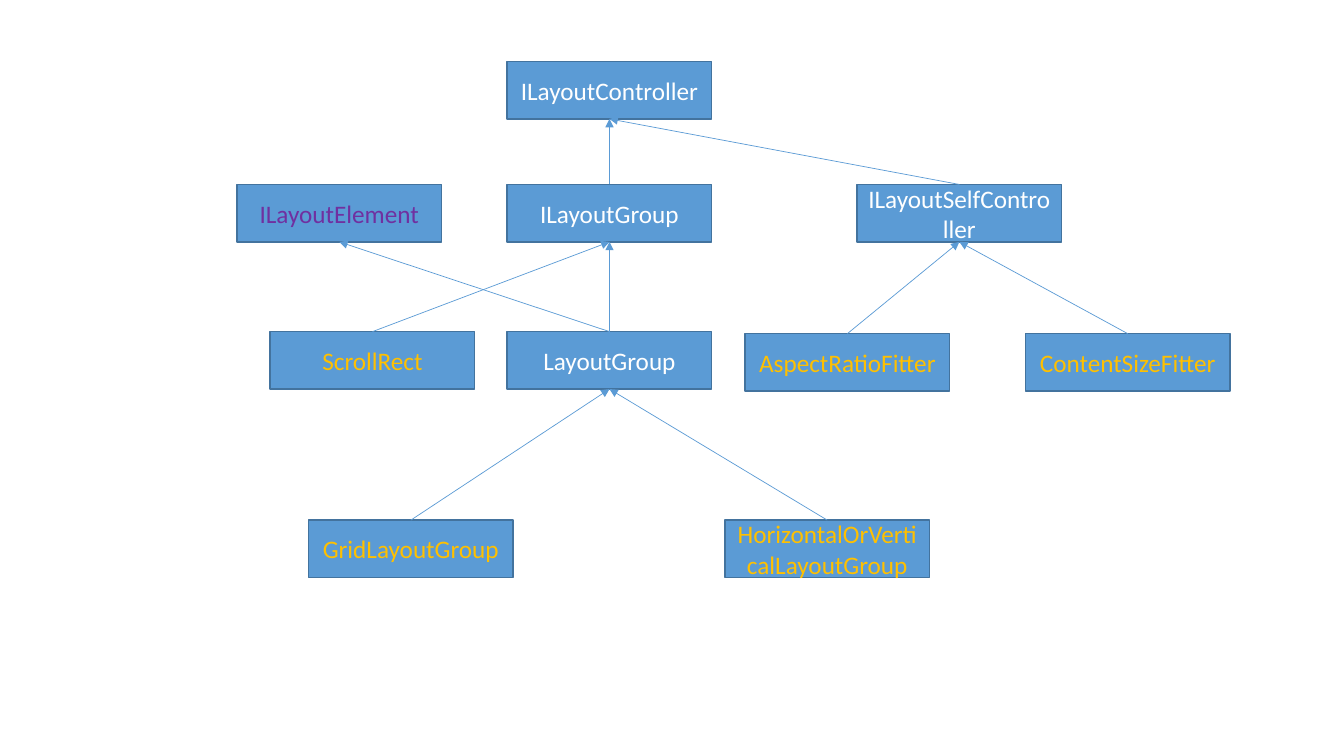
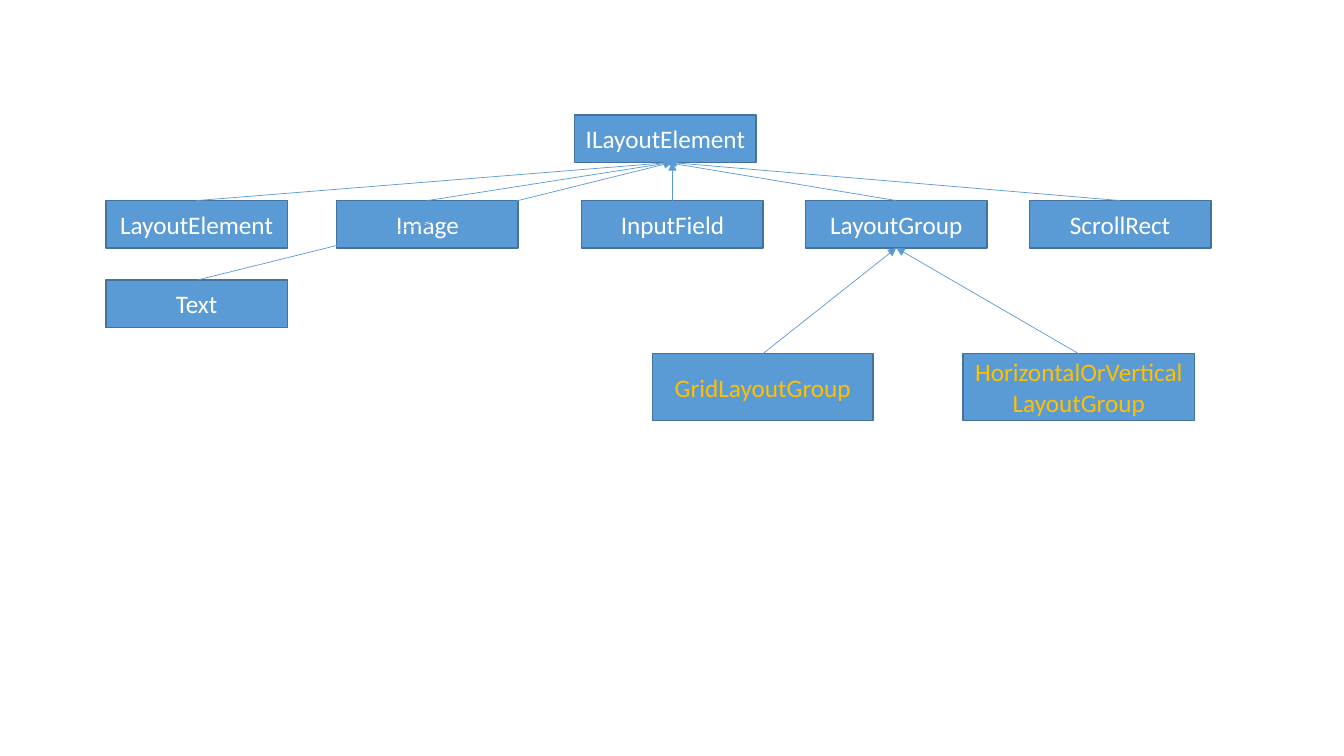
"""Build two class diagrams of layout types."""
from dataclasses import dataclass

from lxml import etree
from pptx import Presentation
from pptx.dml.color import RGBColor
from pptx.enum.shapes import MSO_CONNECTOR, MSO_SHAPE
from pptx.enum.text import MSO_ANCHOR, PP_ALIGN
from pptx.oxml.ns import qn
from pptx.util import Inches, Pt

RECT = MSO_SHAPE.RECTANGLE
LINE = MSO_CONNECTOR.STRAIGHT
CENTER = PP_ALIGN.CENTER
MIDDLE = MSO_ANCHOR.MIDDLE
TOP, BOTTOM = 0, 2  # connection sites of a rectangle
BLANK = 6


@dataclass(frozen=True)
class Theme:
    """Colours, font and sizes that both slides share."""
    fill: RGBColor = RGBColor.from_string("5B9BD5")
    edge: RGBColor = RGBColor.from_string("43739E")
    white: RGBColor = RGBColor.from_string("FFFFFF")
    gold: RGBColor = RGBColor.from_string("FFC000")
    purple: RGBColor = RGBColor.from_string("7030A0")
    font: str = "Calibri"
    text: Pt = Pt(18)
    border: Pt = Pt(1)
    arrow: Pt = Pt(0.5)


THEME = Theme()


def add_box(slide, label, left, top, size, color):
    """Add a class box with its label centred."""
    width, height = size
    box = slide.shapes.add_shape(
        RECT, Inches(left), Inches(top), Inches(width), Inches(height))
    box.shadow.inherit = False
    box.fill.solid()
    box.fill.fore_color.rgb = THEME.fill
    box.line.color.rgb = THEME.edge
    box.line.width = THEME.border
    frame = box.text_frame
    frame.word_wrap = True
    frame.vertical_anchor = MIDDLE
    frame.text = label
    para = frame.paragraphs[0]
    para.alignment = CENTER
    font = para.runs[0].font
    font.name = THEME.font
    font.size = THEME.text
    font.color.rgb = color
    return box


def add_arrow(slide, child, parent, shift=0):
    """Point from a child's top to its parent's bottom, moved by shift."""
    end_x = parent.left + parent.width // 2 + Inches(shift)
    end_y = parent.top + parent.height
    arrow = slide.shapes.add_connector(
        LINE, child.left + child.width // 2, child.top, end_x, end_y)
    arrow.begin_connect(child, TOP)
    if not shift:
        arrow.end_connect(parent, BOTTOM)
    arrow.line.color.rgb = THEME.fill
    arrow.line.width = THEME.arrow
    props = arrow._element.spPr
    etree.SubElement(props.find(qn("a:ln")), qn("a:tailEnd"), type="triangle")
    etree.SubElement(props, qn("a:effectLst"))


def add_tree(deck, rows, links):
    """Add a slide with rows of boxes and the arrows that link them."""
    slide = deck.slides.add_slide(deck.slide_layouts[BLANK])
    boxes = {}
    for top, size, items in rows:
        for label, left, color in items:
            boxes[label] = add_box(slide, label, left, top, size, color)
    for child, parent, *shift in links:
        add_arrow(slide, boxes[child], boxes[parent], *shift)


def add_control(deck):
    """Add the tree of layout controllers."""
    white, gold, purple = THEME.white, THEME.gold, THEME.purple
    size = (2.03, 0.57)
    rows = [
        (0.61, size, [("ILayoutController", 5.03, white)]),
        (1.83, size, [("ILayoutElement", 2.35, purple),
                      ("ILayoutGroup", 5.03, white),
                      ("ILayoutSelfController", 8.5, white)]),
        (3.29, size, [("ScrollRect", 2.68, gold),
                      ("LayoutGroup", 5.03, white)]),
        (3.31, size, [("AspectRatioFitter", 7.39, gold),
                      ("ContentSizeFitter", 10.17, gold)]),
        (5.16, size, [("GridLayoutGroup", 3.06, gold),
                      ("HorizontalOrVerticalLayoutGroup", 7.19, gold)]),
    ]
    links = [
        ("ILayoutGroup", "ILayoutController"),
        ("ILayoutSelfController", "ILayoutController"),
        ("ScrollRect", "ILayoutGroup"),
        ("LayoutGroup", "ILayoutGroup"),
        ("LayoutGroup", "ILayoutElement"),
        ("AspectRatioFitter", "ILayoutSelfController"),
        ("ContentSizeFitter", "ILayoutSelfController"),
        ("GridLayoutGroup", "LayoutGroup"),
        ("HorizontalOrVerticalLayoutGroup", "LayoutGroup"),
    ]
    add_tree(deck, rows, links)


def add_element(deck):
    """Add the tree of layout elements."""
    white, gold = THEME.white, THEME.gold
    size = (1.8, 0.47)
    rows = [
        (1.14, size, [("ILayoutElement", 5.7, white)]),
        (1.99, size, [("LayoutElement", 1.05, white),
                      ("Image", 3.34, white),
                      ("InputField", 5.77, white),
                      ("LayoutGroup", 7.99, white),
                      ("ScrollRect", 10.21, white)]),
        (2.78, size, [("Text", 1.05, white)]),
        (3.51, (2.19, 0.66), [("GridLayoutGroup", 6.47, gold)]),
        (3.51, (2.3, 0.66),
         [("HorizontalOrVerticalLayoutGroup", 9.55, gold)]),
    ]
    links = [
        ("LayoutElement", "ILayoutElement", 0.07),
        ("Image", "ILayoutElement", 0.07),
        ("Text", "ILayoutElement", 0.07),
        ("InputField", "ILayoutElement", 0.07),
        ("LayoutGroup", "ILayoutElement"),
        ("ScrollRect", "ILayoutElement", 0.03),
        ("GridLayoutGroup", "LayoutGroup"),
        ("HorizontalOrVerticalLayoutGroup", "LayoutGroup"),
    ]
    add_tree(deck, rows, links)


def main():
    """Build the deck and save it."""
    deck = Presentation()
    deck.slide_width = Inches(13.33)
    deck.slide_height = Inches(7.5)
    add_control(deck)
    add_element(deck)
    deck.save("out.pptx")


main()
